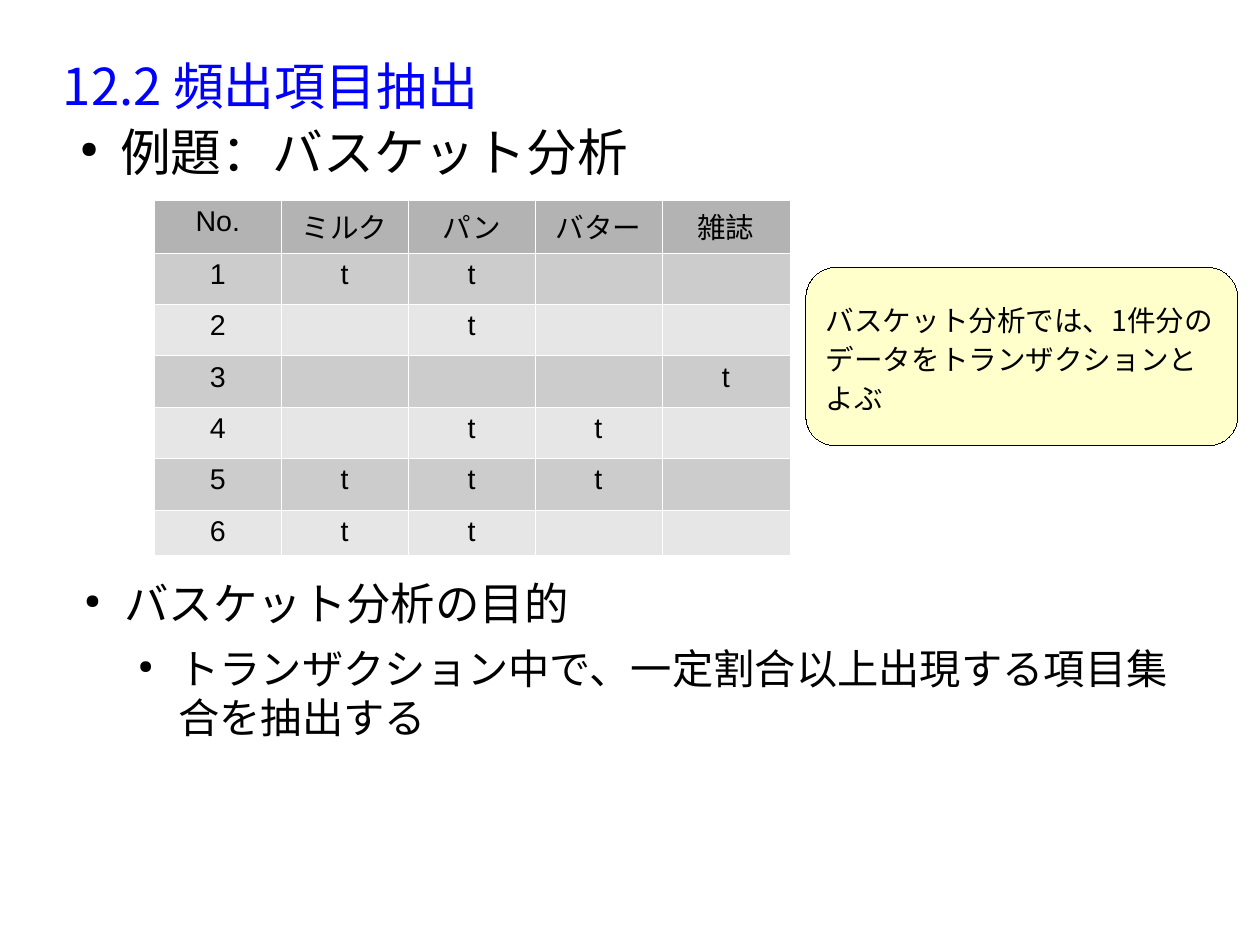
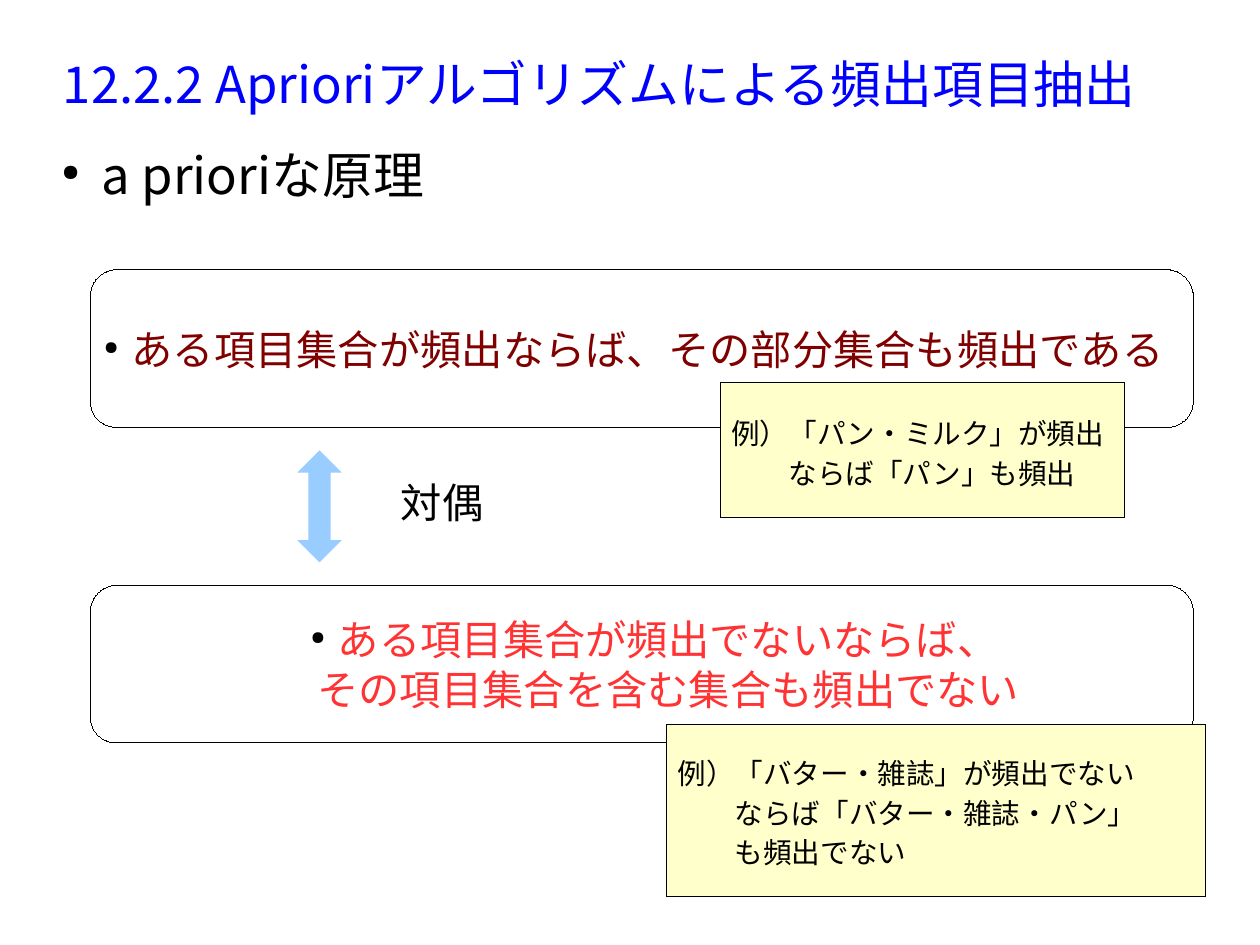
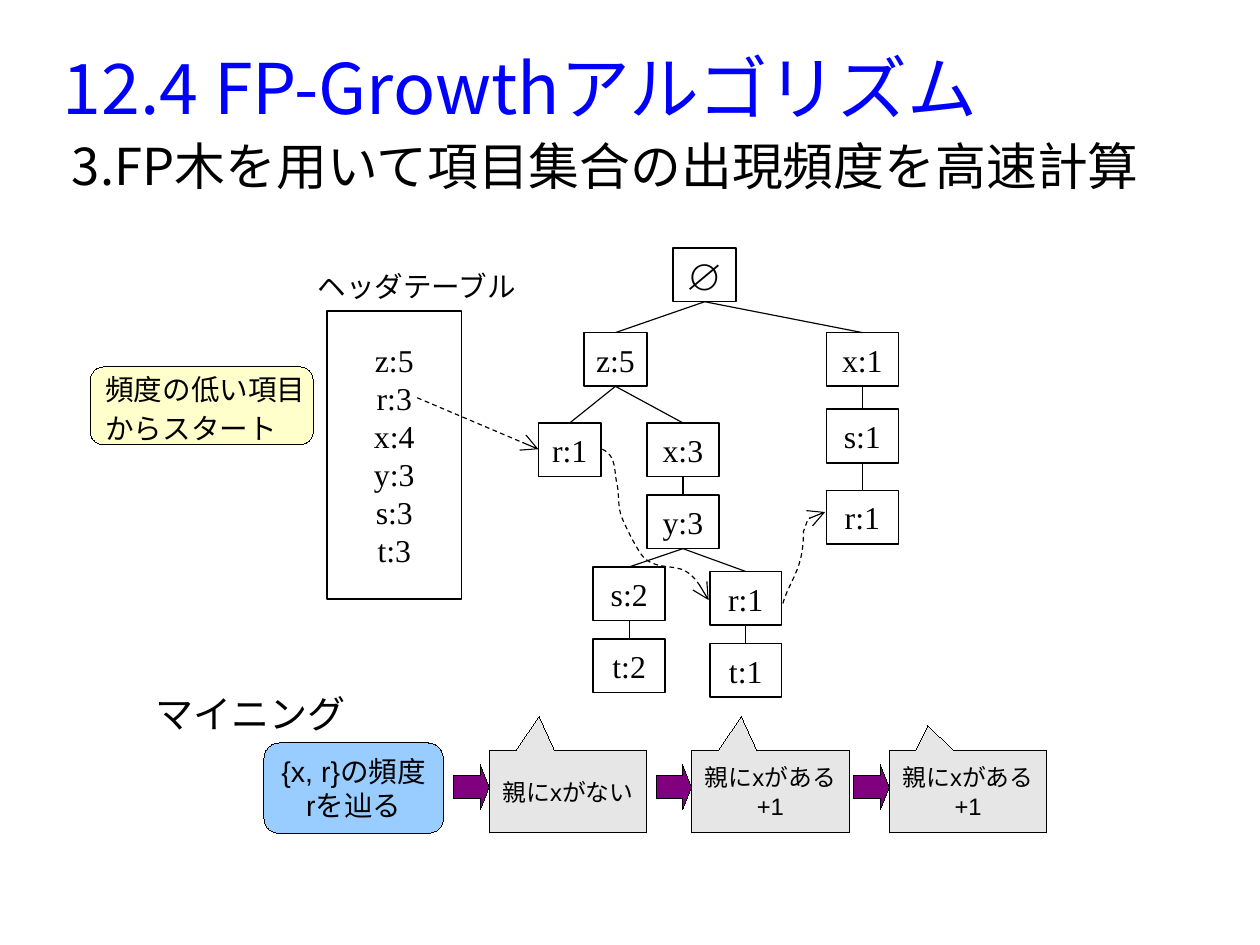
from lxml.etree import SubElement
from pptx import Presentation
from pptx.dml.color import RGBColor
from pptx.enum.dml import MSO_LINE
from pptx.enum.shapes import MSO_CONNECTOR, MSO_SHAPE as SHAPE
from pptx.enum.text import MSO_ANCHOR as ANCHOR, MSO_AUTO_SIZE as FIT, PP_ALIGN as ALIGN
from pptx.oxml.ns import qn
from pptx.util import Inches, Pt

# Shared style
SLIDE_WIDTH, SLIDE_HEIGHT = Inches(28 / 2.54), Inches(21 / 2.54)
GOTHIC, SANS, SERIF = "Noto Sans CJK JP", "Arial", "Times New Roman"
BLACK, WHITE, TITLE_BLUE = "000000", "FFFFFF", "0000FF"
NOTE_YELLOW, SKY, PURPLE, GREY = "FFFFCC", "99CCFF", "800080", "E6E6E6"
DARK_RED, BRIGHT_RED = "800000", "FF3333"
HEADER_GREY, BAND_GREYS = "B3B3B3", ("CCCCCC", GREY)
BODY_INDENT = (0.47, -0.35)
HAIRLINE = 0.01

# Slide 1 content
ITEMS = ["ミルク", "パン", "バター", "雑誌"]
BASKETS = [{"ミルク", "パン"}, {"パン"}, {"雑誌"}, {"パン", "バター"},
           {"ミルク", "パン", "バター"}, {"ミルク", "パン"}]
COLUMN_WIDTHS = [1.11] * 4 + [1.12]
ROW_HEIGHTS = [0.46] + [0.45] * 5 + [0.39]
PURPOSE = [
    dict(text="バスケット分析の目的", size=28, after=8.5),
    dict(text="トランザクション中で、一定割合以上出現する項目集合を抽出する",
         size=26, after=11.3, level=1, indent=(0.94, -0.35)),
]
TRANSACTION_NOTE = ["バスケット分析では、1件分の", "データをトランザクションと", "よぶ"]

# Slide 2 content: top, text, colour
STATEMENTS = [
    (2.36, "ある項目集合が頻出ならば、その部分集合も頻出である　", DARK_RED),
    (5.12, "ある項目集合が頻出でないならば、\nその項目集合を含む集合も頻出でない", BRIGHT_RED),
]
EXAMPLES = [
    ((6.3, 3.35, 3.54, 1.18), ["例）「パン・ミルク」が頻出", "ならば「パン」も頻出"]),
    ((5.83, 6.34, 4.72, 1.5),
     ["例）「バター・雑誌」が頻出でない", "ならば「バター・雑誌・パン」", "も頻出でない"]),
]

# Slide 3 content: node name -> text, left, top, width, parent
NODE_HEIGHT = 0.47
TREE = {
    "root": ("∅", 5.89, 2.17, 0.55, None),
    "z": ("z:5", 5.11, 2.91, 0.55, "root"),
    "z-r": ("r:1", 4.71, 3.7, 0.55, "z"),
    "z-x": ("x:3", 5.66, 3.7, 0.63, "z"),
    "z-x-y": ("y:3", 5.66, 4.33, 0.63, "z-x"),
    "y-s": ("s:2", 5.19, 4.96, 0.63, "z-x-y"),
    "y-s-t": ("t:2", 5.19, 5.59, 0.63, "y-s"),
    "y-r": ("r:1", 6.21, 5.0, 0.63, "z-x-y"),
    "y-r-t": ("t:1", 6.21, 5.63, 0.63, "y-r"),
    "x": ("x:1", 7.23, 2.91, 0.63, "root"),
    "x-s": ("s:1", 7.23, 3.58, 0.63, "x"),
    "x-s-r": ("r:1", 7.23, 4.29, 0.63, "x-s"),
}
HEADER_ITEMS = ["z:5", "r:3", "x:4", "y:3", "s:3", "t:3"]
# Each link is a start point, then segments of one point (line) or three (curve)
NODE_LINKS = [
    [(5.27, 3.93), [(5.4, 3.99), (5.37, 4.13), (5.4, 4.24)],
     [(5.42, 4.34), (5.4, 4.44), (5.45, 4.55)],
     [(5.5, 4.66), (5.55, 4.76), (5.61, 4.85)],
     [(5.69, 4.96), (5.82, 4.95), (5.92, 4.97)],
     [(6.05, 4.99), (6.12, 5.11), (6.18, 5.22)], [(6.2, 5.25)]],
    [(6.85, 5.28), [(6.88, 5.17), (6.94, 5.08), (6.98, 4.97)],
     [(7.02, 4.86), (7.03, 4.76), (7.03, 4.65)],
     [(7.07, 4.54)], [(7.17, 4.5)], [(7.22, 4.48)]],
]
# Left, lines, callout tip
MINING_STEPS = [
    (4.28, ["親にxがない"], (-0.184, -0.928)),
    (6.05, ["親にxがある", "+1"], (-0.184, -0.928)),
    (7.78, ["親にxがある", "+1"], (-0.255, -0.811)),
]
STEP_ARROW_WIDTH = 0.31


def rgb(value):
    return RGBColor.from_string(value)


def inches(values):
    return [Inches(value) for value in values]


def add_bullet(properties, number):
    color = SubElement(properties, qn("a:buClr"))
    SubElement(color, qn("a:srgbClr"), val=BLACK)
    if number:
        SubElement(properties, qn("a:buAutoNum"), type="arabicPeriod", startAt=str(number))
    else:
        SubElement(properties, qn("a:buSzPct"), val="45000")
        SubElement(properties, qn("a:buFont"), typeface="OpenSymbol")
        SubElement(properties, qn("a:buChar"), char="●")


def style_paragraph(paragraph, text, size=18, color=BLACK, font=GOTHIC, align=ALIGN.LEFT,
                    spacing=None, after=0, level=0, indent=None, bullet=False, number=None):
    paragraph.text = text
    paragraph.alignment = align
    paragraph.level = level
    paragraph.space_after = Pt(after)
    if spacing:
        paragraph.line_spacing = spacing
    properties = paragraph._p.get_or_add_pPr()
    if indent:
        for name, value in zip(("marL", "indent"), indent):
            properties.set(name, str(Inches(value)))
    if bullet:
        add_bullet(properties, number)
    paragraph.font.size = Pt(size)
    paragraph.font.name = font
    paragraph.font.color.rgb = rgb(color)
    SubElement(properties.find(qn("a:defRPr")), qn("a:ea"), typeface=GOTHIC)


def write(shape, lines, anchor=ANCHOR.MIDDLE, wrap=False, insets=(0.1, 0.05), **style):
    """Fill a shape with lines, each a string or a dict of overrides."""
    frame = shape.text_frame
    frame.word_wrap = wrap
    frame.vertical_anchor = anchor
    frame.margin_left = frame.margin_right = Inches(insets[0])
    frame.margin_top = frame.margin_bottom = Inches(insets[1])
    for index, line in enumerate(lines):
        paragraph = frame.add_paragraph() if index else frame.paragraphs[0]
        own = line if isinstance(line, dict) else {"text": line}
        style_paragraph(paragraph, **{**style, **own})


def add_text(slide, box, lines, anchor=ANCHOR.TOP, **style):
    textbox = slide.shapes.add_textbox(*inches(box))
    write(textbox, lines, anchor=anchor, **style)
    return textbox


def add_label(slide, box, text, size):
    label = add_text(slide, box, [text], size=size, font=SANS)
    label.text_frame.auto_size = FIT.SHAPE_TO_FIT_TEXT


def add_block(slide, kind, box, fill=None, line=BLACK, width=HAIRLINE, adjust=()):
    shape = slide.shapes.add_shape(kind, *inches(box))
    paint(shape, fill, line, width)
    for index, value in enumerate(adjust):
        shape.adjustments[index] = value
    return shape


def paint(shape, fill, line, width):
    shape.shadow.inherit = False
    if fill:
        shape.fill.solid()
        shape.fill.fore_color.rgb = rgb(fill)
    else:
        shape.fill.background()
    if line:
        shape.line.color.rgb = rgb(line)
        shape.line.width = Pt(width)
    else:
        shape.line.fill.background()


def add_rounded(slide, box, fill=None):
    return add_block(slide, SHAPE.ROUNDED_RECTANGLE, box, fill, adjust=(0.167,))


def add_line(slide, start=(0, 0), end=(0, 0)):
    connector = slide.shapes.add_connector(MSO_CONNECTOR.STRAIGHT, *inches(start + end))
    connector.line.color.rgb = rgb(BLACK)
    connector.line.width = Pt(0.75)
    SubElement(connector._element.spPr, qn("a:effectLst"))
    return connector


def make_dashed_arrow(shape):
    shape.line.dash_style = MSO_LINE.DASH
    SubElement(shape.line._get_or_add_ln(), qn("a:tailEnd"), type="arrow", w="lg", len="lg")


def curve_points(start, segments, steps=12):
    """Flatten line and cubic curve segments into points."""
    points = [start]
    for segment in segments:
        if len(segment) == 1:
            points += segment
            continue
        controls = [points[-1]] + segment
        for step in range(1, steps + 1):
            t = step / steps
            weights = ((1 - t) ** 3, 3 * t * (1 - t) ** 2, 3 * t ** 2 * (1 - t), t ** 3)
            points.append(tuple(sum(weight * control[axis]
                                    for weight, control in zip(weights, controls))
                                for axis in (0, 1)))
    return points


def start_slide(presentation, title, top, height, size=32):
    slide = presentation.slides.add_slide(presentation.slide_layouts[6])
    add_text(slide, (0.55, top, 9.92, height), [title], anchor=ANCHOR.MIDDLE,
             wrap=True, insets=(0, 0), size=size, color=TITLE_BLUE)
    return slide


def add_body(slide, box, lines, **style):
    add_text(slide, box, lines, wrap=True, insets=(0, 0),
             **{"size": 32, "indent": BODY_INDENT, "bullet": True, **style})


def add_basket_table(slide):
    rows = [["No."] + ITEMS]
    for number, basket in enumerate(BASKETS, 1):
        rows.append([str(number)] + ["t" if item in basket else "" for item in ITEMS])
    box = (1.35, 1.75, sum(COLUMN_WIDTHS), sum(ROW_HEIGHTS))
    table = slide.shapes.add_table(len(rows), len(rows[0]), *inches(box)).table
    table.first_row = table.horz_banding = False
    for column, width in zip(table.columns, COLUMN_WIDTHS):
        column.width = Inches(width)
    for index, (row, height) in enumerate(zip(table.rows, ROW_HEIGHTS)):
        row.height = Inches(height)
        for cell, text in zip(row.cells, rows[index]):
            properties = cell._tc.get_or_add_tcPr()
            for side in ("L", "R", "T", "B"):
                border = SubElement(properties, qn(f"a:ln{side}"), w=str(Pt(0.06)))
                fill = SubElement(border, qn("a:solidFill"))
                SubElement(fill, qn("a:srgbClr"), val=WHITE)
            cell.fill.solid()
            cell.fill.fore_color.rgb = rgb(BAND_GREYS[(index - 1) % 2] if index else HEADER_GREY)
            style_paragraph(cell.text_frame.paragraphs[0], text, font=SANS, align=ALIGN.CENTER)


def build_basket_slide(presentation):
    slide = start_slide(presentation, "12.2 頻出項目抽出", 0.39, 0.71)
    add_body(slide, (0.58, 1.06, 9.92, 0.67), ["例題：バスケット分析"])
    add_basket_table(slide)
    add_body(slide, (0.62, 5.04, 9.92, 1.79), PURPOSE)
    note = add_rounded(slide, (7.05, 2.34, 3.78, 1.56), NOTE_YELLOW)
    write(note, TRANSACTION_NOTE, spacing=1.15)


def build_apriori_slide(presentation):
    slide = start_slide(presentation, "12.2.2 Aprioriアルゴリズムによる頻出項目抽出", 0.27, 0.91)
    add_body(slide, (0.42, 1.26, 10.21, 0.91), ["a prioriな原理"])
    # Two equivalent statements
    add_block(slide, SHAPE.UP_DOWN_ARROW, (2.6, 3.94, 0.39, 0.98), SKY, line=None,
              adjust=(0.5, 0.498))
    for top, text, color in STATEMENTS:
        write(add_rounded(slide, (0.79, top, 9.65, 1.38)), [text], size=26, color=color,
              align=ALIGN.CENTER, level=1, indent=(0.47, -0.24), bullet=True)
    add_label(slide, (3.41, 4.13, 0.92, 0.64), "対偶", 26)
    # Examples, with later lines set in by two characters
    for box, (first, *others) in EXAMPLES:
        lines = [first] + [dict(text=text, indent=(0.5, 0)) for text in others]
        write(add_block(slide, SHAPE.RECTANGLE, box, NOTE_YELLOW), lines, spacing=1.15)


def add_tree(slide):
    nodes = {}
    for name, (text, left, top, width, parent) in TREE.items():
        node = add_block(slide, SHAPE.RECTANGLE, (left, top, width, NODE_HEIGHT), width=1)
        write(node, [text], wrap=True, size=20 if parent else 24, font=SERIF,
              align=ALIGN.CENTER)
        nodes[name] = node
        if parent:
            edge = add_line(slide)
            edge.begin_connect(nodes[parent], 2)
            edge.end_connect(node, 0)


def build_growth_slide(presentation):
    slide = start_slide(presentation, "12.4 FP-Growthアルゴリズム", 0.3, 0.92, size=44)
    add_body(slide, (0.51, 1.18, 9.92, 5.15),
             ["FP木を用いて項目集合の出現頻度を高速計算"], number=3)
    add_tree(slide)
    # Header table and the links that start from it
    header = add_block(slide, SHAPE.RECTANGLE, (2.86, 2.72, 1.18, 2.52), width=1)
    write(header, HEADER_ITEMS, wrap=True, size=20, font=SERIF, align=ALIGN.CENTER)
    make_dashed_arrow(add_line(slide, (3.65, 3.48), (4.71, 3.93)))
    for start, *segments in NODE_LINKS:
        first, *others = [inches(point) for point in curve_points(start, segments)]
        builder = slide.shapes.build_freeform(*first)
        builder.add_line_segments(others, close=False)
        link = builder.convert_to_shape()
        paint(link, None, BLACK, 0.75)
        make_dashed_arrow(link)
    # Mining steps
    query = add_rounded(slide, (2.31, 6.5, 1.57, 0.79), SKY)
    write(query, ["{x, r}の頻度", "rを辿る"], font=SANS, align=ALIGN.CENTER)
    for left, lines, tip in MINING_STEPS:
        callout = add_block(slide, SHAPE.RECTANGULAR_CALLOUT, (left, 6.57, 1.38, 0.71),
                            GREY, adjust=tip)
        write(callout, lines, size=15, font=SANS, align=ALIGN.CENTER)
        add_block(slide, SHAPE.RIGHT_ARROW,
                  (left - STEP_ARROW_WIDTH, 6.69, STEP_ARROW_WIDTH, 0.39),
                  PURPLE, adjust=(0.5, 0.25))
    # Labels
    add_label(slide, (1.26, 5.99, 1.88, 0.6), "マイニング", 24)
    add_label(slide, (2.68, 2.3, 1.95, 0.47), "ヘッダテーブル", 18)
    hint = add_rounded(slide, (0.79, 3.21, 1.95, 0.68), NOTE_YELLOW)
    write(hint, ["頻度の低い項目", "からスタート"], font=SERIF, spacing=1.15)


def main():
    presentation = Presentation()
    presentation.slide_width = SLIDE_WIDTH
    presentation.slide_height = SLIDE_HEIGHT
    build_basket_slide(presentation)
    build_apriori_slide(presentation)
    build_growth_slide(presentation)
    presentation.save("out.pptx")


if __name__ == "__main__":
    main()
